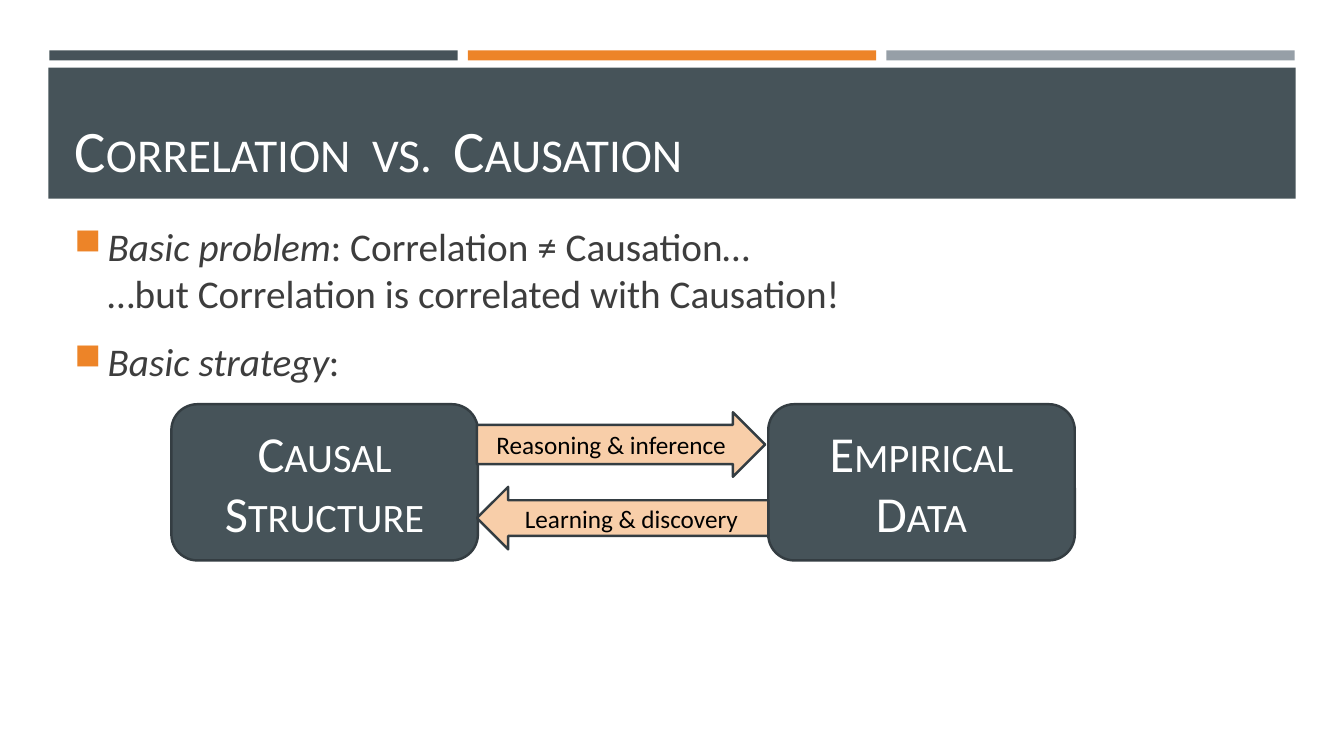
from dataclasses import dataclass

from lxml import etree
from pptx import Presentation
from pptx.dml.color import RGBColor
from pptx.enum.shapes import MSO_SHAPE
from pptx.enum.text import MSO_ANCHOR, MSO_AUTO_SIZE, PP_ALIGN
from pptx.oxml.ns import qn
from pptx.util import Inches, Pt

RECTANGLE = MSO_SHAPE.RECTANGLE
ROUNDED = MSO_SHAPE.ROUNDED_RECTANGLE
RIGHT_ARROW, LEFT_ARROW = MSO_SHAPE.RIGHT_ARROW, MSO_SHAPE.LEFT_ARROW
CENTER, LEFT = PP_ALIGN.CENTER, PP_ALIGN.LEFT
MIDDLE, TOP, BOTTOM = MSO_ANCHOR.MIDDLE, MSO_ANCHOR.TOP, MSO_ANCHOR.BOTTOM


@dataclass(frozen=True)
class Theme:
    font: str = "Calibri"
    slate: str = "465359"
    orange: str = "ED8428"
    gray: str = "969FA7"
    peach: str = "F8CEA9"
    outline: str = "343D42"
    body: str = "3D3D3D"
    white: str = "FFFFFF"
    black: str = "000000"
    title_size: int = 42
    concept_size: int = 36
    body_size: int = 28
    arrow_size: int = 18


theme = Theme()


def style(paragraph, size, color, small_caps=False):
    font = paragraph.font
    font.name, font.size = theme.font, Pt(size)
    font.color.rgb = RGBColor.from_string(color)
    if small_caps:
        font._element.set("cap", "small")


def add_block(kind, box, fill, outline=None):
    """Add a flat filled shape; box is left, top, width, height in inches."""
    block = slide.shapes.add_shape(kind, *map(Inches, box))
    block.shadow.inherit = False
    block.fill.solid()
    block.fill.fore_color.rgb = RGBColor.from_string(fill)
    if outline:
        block.line.color.rgb = RGBColor.from_string(outline)
        block.line.width = Pt(1.75)
    else:
        block.line.fill.background()
    return block


prs = Presentation()
prs.slide_width, prs.slide_height = Inches(13.33), Inches(7.5)
slide = prs.slides.add_slide(prs.slide_layouts[5])

# Header strips and title band
for column, color in enumerate((theme.slate, theme.orange, theme.gray)):
    add_block(RECTANGLE, (0.49 + 4.15 * column, 0.5, 4.05, 0.1), color)
title_band = add_block(RECTANGLE, (0.48, 0.67, 12.37, 1.3), theme.slate)

title = slide.shapes.title
title_band._element.addnext(title._element)
title.left, title.top = Inches(0.64), Inches(0.77)
title.width, title.height = Inches(12.06), Inches(1.11)
title.text_frame.text = "Correlation  vs.  Causation"
title.text_frame.auto_size = MSO_AUTO_SIZE.NONE
title.text_frame.vertical_anchor = BOTTOM
heading = title.text_frame.paragraphs[0]
heading.alignment = LEFT
style(heading, theme.title_size, theme.white, small_caps=True)

# Bulleted points: italic lead, then the lines that follow it
points = [
    ("Basic problem", [": Correlation ≠ Causation…",
                       "…but Correlation is correlated with Causation!"]),
    ("Basic strategy", [":"]),
]
points_frame = slide.shapes.add_textbox(
    Inches(0.64), Inches(2.16), Inches(12.06), Inches(4.24)).text_frame
points_frame.word_wrap = True
points_frame.vertical_anchor = TOP
for index, (lead, lines) in enumerate(points):
    point = points_frame.add_paragraph() if index else points_frame.paragraphs[0]
    point.space_before = Pt(12 if index else 0)
    point.space_after = Pt(3)
    properties = point._p.get_or_add_pPr()
    properties.set("marL", str(Inches(0.33)))
    properties.set("indent", str(-Inches(0.33)))
    bullet_color = etree.SubElement(properties, qn("a:buClr"))
    etree.SubElement(bullet_color, qn("a:srgbClr"), val=theme.orange)
    etree.SubElement(properties, qn("a:buSzPct"), val="92000")
    etree.SubElement(properties, qn("a:buChar"), char="■")
    style(point, theme.body_size, theme.body)
    lead_run = point.add_run()
    lead_run.text = lead
    lead_run.font.italic = True
    for line_number, line in enumerate(lines):
        if line_number:
            point.add_line_break()
        point.add_run().text = line

# Diagram: two concepts joined by opposite arrows
diagram = [
    (ROUNDED, (1.7, 4.01, 3.04, 1.55), "Causal Structure", None),
    (ROUNDED, (7.62, 4.01, 3.04, 1.55), "Empirical Data", None),
    (RIGHT_ARROW, (4.73, 4.09, 2.86, 0.64), "Reasoning & inference", 0.61),
    (LEFT_ARROW, (4.73, 4.83, 2.89, 0.62), "Learning & discovery", 0.57),
]
for kind, box, label, shaft in diagram:
    is_concept = kind == ROUNDED
    part = add_block(kind, box, theme.slate if is_concept else theme.peach,
                     theme.outline)
    if shaft:
        part.adjustments[0] = shaft
    part.text_frame.text = label
    part.text_frame.word_wrap = True
    part.text_frame.vertical_anchor = MIDDLE
    caption = part.text_frame.paragraphs[0]
    caption.alignment = CENTER
    if is_concept:
        style(caption, theme.concept_size, theme.white, small_caps=True)
    else:
        style(caption, theme.arrow_size, theme.black)

prs.save("out.pptx")
